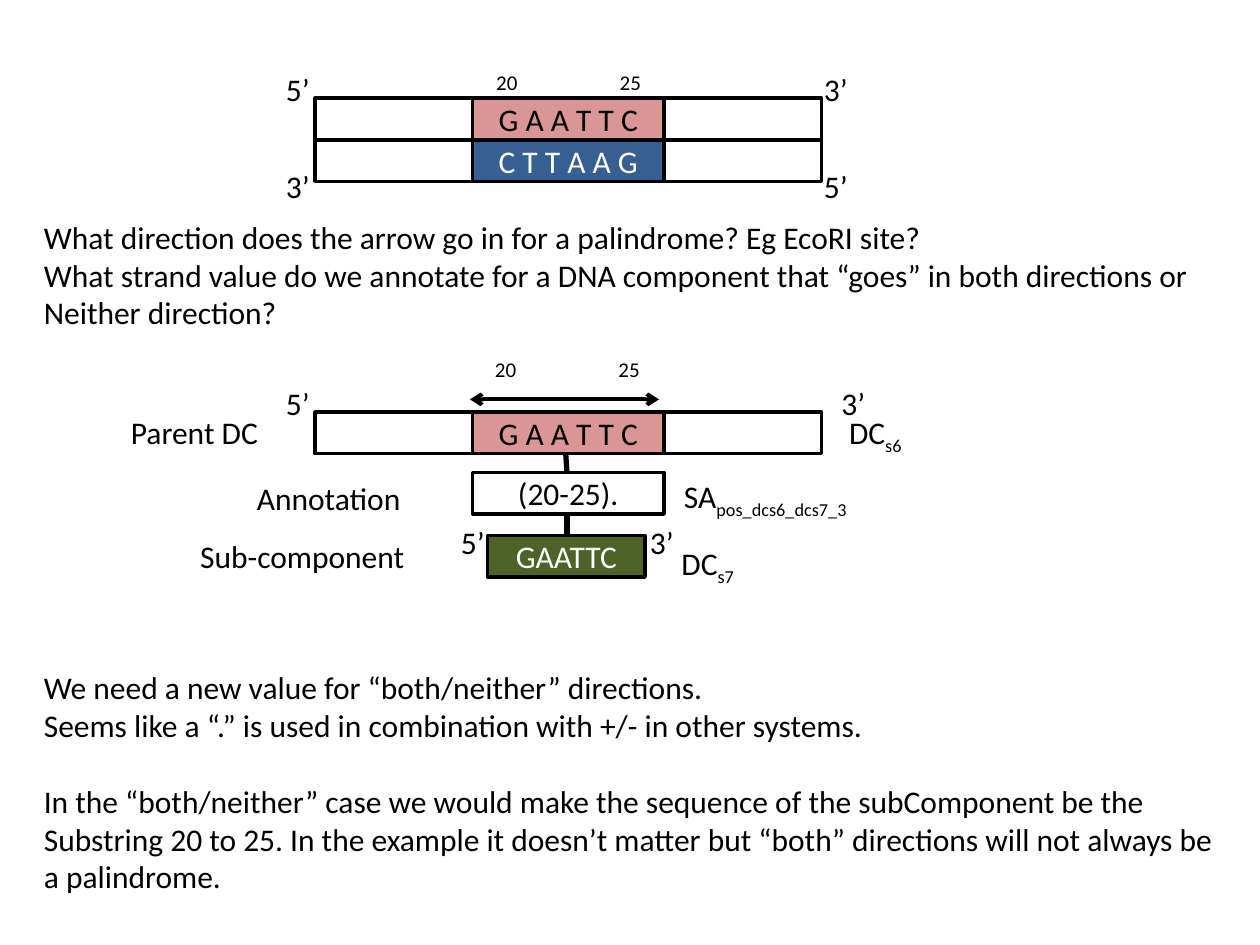
from pptx import Presentation
from pptx.dml.color import RGBColor
from pptx.enum.shapes import MSO_CONNECTOR, MSO_SHAPE
from pptx.enum.text import MSO_ANCHOR, MSO_AUTO_SIZE, PP_ALIGN
from pptx.oxml.ns import qn
from pptx.util import Inches, Pt
from lxml import etree

RECT, STRAIGHT = MSO_SHAPE.RECTANGLE, MSO_CONNECTOR.STRAIGHT
MIDDLE, TOP = MSO_ANCHOR.MIDDLE, MSO_ANCHOR.TOP
CENTER, LEFT = PP_ALIGN.CENTER, PP_ALIGN.LEFT
GROW, NO_FIT = MSO_AUTO_SIZE.SHAPE_TO_FIT_TEXT, MSO_AUTO_SIZE.NONE

# Grid: a strand is a flank, a site and a flank, one row high
FLANK, SITE, ROW = 1.25, 1.52, 0.33
STRAND = FLANK * 2 + SITE
LABEL_H, END_W, NUM_W, NUM_H = 0.4, 0.39, 0.37, 0.3
BLACK, WHITE = "000000", "FFFFFF"
PINK, BLUE, GREEN = "D99694", "376092", "4F6228"


def rgb(value):
    return RGBColor.from_string(value)


def add_run(p, text, size=18, color=BLACK, sub=False):
    r = p.add_run()
    r.text = text
    for name, value in {"name": "Calibri", "size": Pt(size)}.items():
        setattr(r.font, name, value)
    r.font.color.rgb = rgb(color)
    if sub:
        r.font._element.set("baseline", "-25000")


def set_frame(tf, **formats):
    for name, value in formats.items():
        setattr(tf, name, value)


def add_box(s, x, y, w, text="", fill=None, color=BLACK):
    sp = s.shapes.add_shape(RECT, Inches(x), Inches(y), Inches(w), Inches(ROW))
    sp.shadow.inherit = False
    if fill:
        sp.fill.solid()
        sp.fill.fore_color.rgb = rgb(fill)
    else:
        sp.fill.background()
    sp.line.color.rgb = rgb(BLACK)
    sp.line.width = Pt(2)
    if text:
        set_frame(sp.text_frame, vertical_anchor=MIDDLE, auto_size=NO_FIT)
        p = sp.text_frame.paragraphs[0]
        p.alignment = CENTER
        add_run(p, text, color=color)


def add_label(s, x, y, w, lines, h=LABEL_H, size=18, sub="", gaps=()):
    """Lines of text; gaps holds the numbers of the lines with a line's space above."""
    tf = s.shapes.add_textbox(Inches(x), Inches(y), Inches(w), Inches(h)).text_frame
    set_frame(tf, word_wrap=False, auto_size=GROW, vertical_anchor=TOP)
    for i, line in enumerate(lines):
        p = tf.add_paragraph() if i else tf.paragraphs[0]
        p.alignment = LEFT
        if i in gaps:
            p.space_before = Pt(22)
        add_run(p, line, size)
    if sub:
        add_run(tf.paragraphs[-1], sub, size, sub=True)


def add_line(s, x1, y1, x2, y2, width, arrows=False):
    cn = s.shapes.add_connector(STRAIGHT, Inches(x1), Inches(y1), Inches(x2), Inches(y2))
    cn.line.color.rgb = rgb(BLACK)
    cn.line.width = Pt(width)
    if arrows:
        ln = cn.line._get_or_add_ln()
        for end in ("a:headEnd", "a:tailEnd"):
            etree.SubElement(ln, qn(end)).set("type", "arrow")
    etree.SubElement(cn._element.spPr, qn("a:effectLst"))


def add_strand(s, x, y, sequence, fill, color=BLACK):
    add_box(s, x, y, FLANK)
    add_box(s, x + FLANK + SITE, y, STRAND - FLANK - SITE)
    add_box(s, x + FLANK, y, SITE, sequence, fill, color)


def add_positions(s, x, y):
    for dx, number in ((0.09, "20"), (1.07, "25")):
        add_label(s, x + dx, y, NUM_W, [number], NUM_H, 12)


def add_ends(s, x, y, right, left_text, right_text):
    for left, text in ((x, left_text), (right, right_text)):
        add_label(s, left, y, END_W, [text])


def double_strand(s, x, y):
    add_strand(s, x, y, "G A A T T C", PINK)
    add_strand(s, x, y + ROW, "C T T A A G", BLUE, WHITE)
    add_ends(s, x - 0.33, y - 0.27, x + 3.94, "5’", "3’")
    add_ends(s, x - 0.33, y + 0.5, x + 3.94, "3’", "5’")
    add_positions(s, x + FLANK, y - 0.28)


def annotated_strand(s, x, y):
    site, mid = x + FLANK, x + 2
    note_y, sub_y = y + 0.48, y + 0.98
    # Links between the levels, and the two-way arrow
    add_line(s, mid - 0.01, y + ROW, mid, note_y, 3)
    add_line(s, mid, note_y + ROW, mid, sub_y, 3)
    add_line(s, site + 1.48, y - 0.1, site - 0.02, y - 0.1, 2.25, arrows=True)
    # Parent, annotation and sub-component
    add_strand(s, x, y, "G A A T T C", PINK)
    add_box(s, site, note_y, SITE, "(20-25).")
    add_box(s, site + 0.12, sub_y, FLANK, "GAATTC", GREEN, WHITE)
    add_ends(s, x - 0.33, y - 0.27, x + 4.08, "5’", "3’")
    add_ends(s, site - 0.19, sub_y - 0.15, site + 1.31, "5’", "3’")
    add_positions(s, site - 0.01, y - 0.49)
    # Names of the levels, left and right
    for dx, dy, w, text, sub in (
        (-1.56, -0.04, 1.22, "Parent DC", ""),
        (-0.56, 0.48, 1.36, "Annotation", ""),
        (-1.01, 0.94, 1.84, "Sub-component", ""),
        (4.14, -0.04, 0.65, "DC", "s6"),
        (2.83, 0.47, 1.67, "SA", "pos_dcs6_dcs7_3"),
        (2.81, 1.0, 0.65, "DC", "s7"),
    ):
        add_label(s, x + dx, y + dy, w, [text], sub=sub)


def main():
    prs = Presentation()
    prs.slide_width, prs.slide_height = Inches(10), Inches(7.5)
    s = prs.slides.add_slide(prs.slide_layouts[6])
    double_strand(s, 2.5, 0.78)
    add_label(s, 0.25, 1.68, 9.45, [
        "What direction does the arrow go in for a palindrome? Eg EcoRI site?",
        "What strand value do we annotate for a DNA component that “goes” in both directions or",
        "Neither direction?",
    ], h=1.01)
    annotated_strand(s, 2.5, 3.27)
    add_label(s, 0.25, 5.25, 9.6, [
        "We need a new value for “both/neither” directions.",
        "Seems like a “.” is used in combination with +/- in other systems.",
        "In the “both/neither” case we would make the sequence of the subComponent be the",
        "Substring 20 to 25. In the example it doesn’t matter but “both” directions will not always be",
        "a palindrome.",
    ], h=1.92, gaps=(2,))
    prs.save("out.pptx")


if __name__ == "__main__":
    main()
